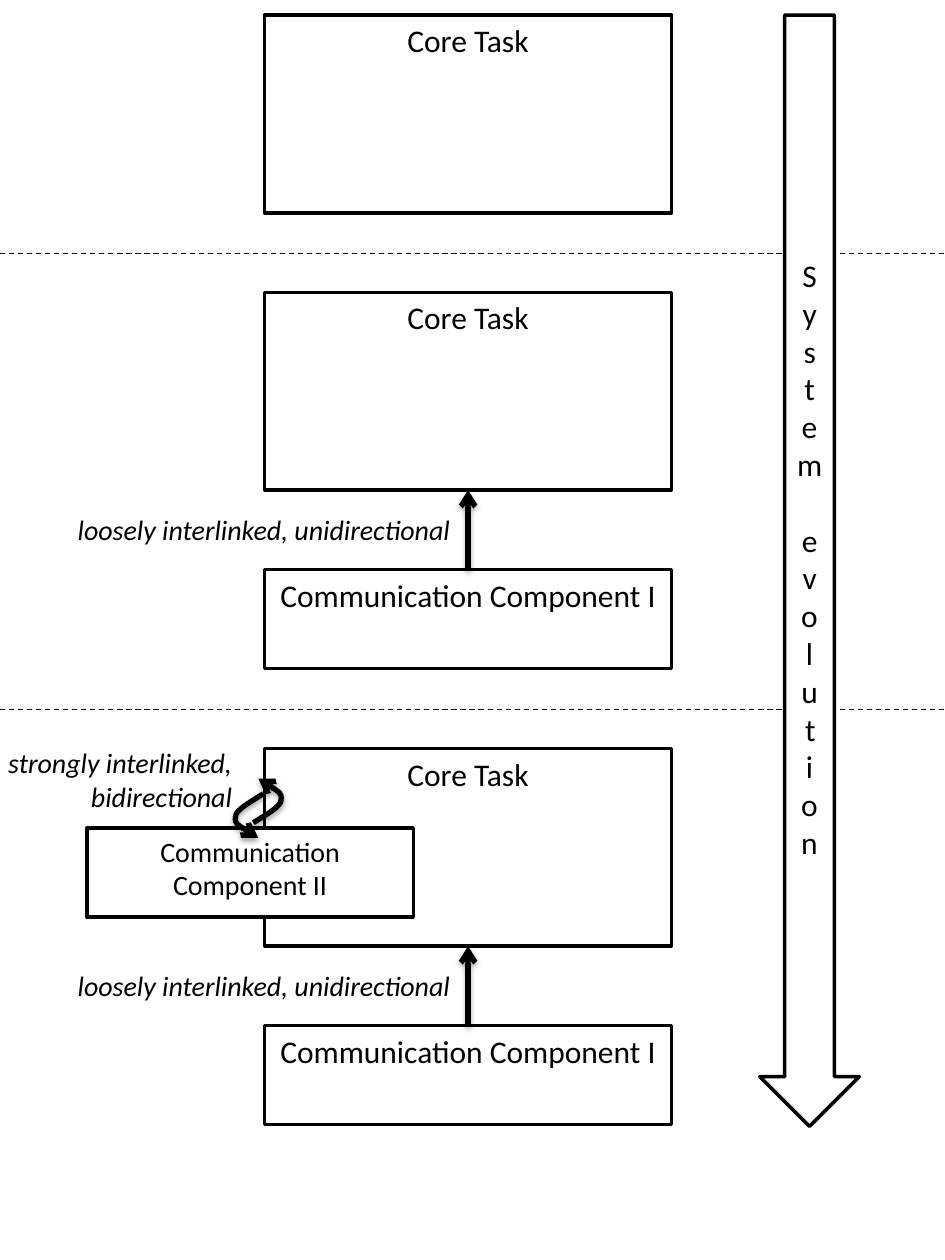
"""Build a one-page diagram of a system evolving through three stages."""
import pptx
import pptx.dml.color
import pptx.enum.dml
import pptx.enum.shapes
import pptx.enum.text
import pptx.oxml
import pptx.oxml.ns
import pptx.util

Inches, Pt = pptx.util.Inches, pptx.util.Pt
SHAPE = pptx.enum.shapes.MSO_SHAPE
ALIGN = pptx.enum.text.PP_ALIGN
ANCHOR = pptx.enum.text.MSO_ANCHOR
COLORS = {name: pptx.dml.color.RGBColor.from_string(value)
          for name, value in {"ink": "000000", "paper": "FFFFFF"}.items()}
NAMESPACE = pptx.oxml.ns.nsdecls("a")
SHADOW = ('<a:outerShdw blurRad="39370" dist="22860" dir="5400000" rotWithShape="0">'
          '<a:srgbClr val="000000"><a:alpha val="35000"/></a:srgbClr></a:outerShdw>')

deck = pptx.Presentation()
deck.slide_width, deck.slide_height = Inches(7.5), Inches(10)
page = deck.slides.add_slide(deck.slide_layouts[6])


def add_box(words, left, top, width, height, size=18, kind=SHAPE.RECTANGLE):
    """Add an outlined shape, or a right-aligned italic label if kind is None."""
    place = [Inches(length) for length in (left, top, width, height)]
    if kind is None:
        box = page.shapes.add_textbox(*place)
    else:
        box = page.shapes.add_shape(kind, *place)
        box.shadow.inherit = False
        box.fill.solid()
        box.fill.fore_color.rgb = COLORS["paper"]
        box.line.color.rgb = COLORS["ink"]
        box.line.width = Pt(2)
    frame = box.text_frame
    frame.word_wrap = True
    frame.vertical_anchor = ANCHOR.TOP
    para = frame.paragraphs[0]
    para.text = words
    para.alignment = ALIGN.RIGHT if kind is None else ALIGN.CENTER
    para.font.name, para.font.size = "Calibri", Pt(size)
    para.font.italic = kind is None
    para.font.color.rgb = COLORS["ink"]
    return box


def style_line(line_shape, width, arrow):
    """Make a line either a shadowed arrow or a plain dashed rule."""
    line_shape.line.color.rgb = COLORS["ink"]
    line_shape.line.width = Pt(width)
    if arrow:
        tail = pptx.oxml.parse_xml(f'<a:tailEnd {NAMESPACE} type="arrow"/>')
        line_shape.line._get_or_add_ln().append(tail)
    else:
        line_shape.line.dash_style = pptx.enum.dml.MSO_LINE.DASH
    effects = f'<a:effectLst {NAMESPACE}>{SHADOW if arrow else ""}</a:effectLst>'
    line_shape._element.spPr.append(pptx.oxml.parse_xml(effects))


core_left, core_width, core_height = 2.1, 3.23, 1.57
gap = 0.63
arrow_x = core_left + core_width / 2
straight = pptx.enum.shapes.MSO_CONNECTOR.STRAIGHT

for core_top, linked in ((0.12, False), (2.32, True), (5.94, True)):
    add_box("Core Task", core_left, core_top, core_width, core_height)
    if linked:
        core_bottom = core_top + core_height
        component_top = core_bottom + gap
        add_box("Communication Component I", core_left, component_top,
                core_width, core_height / 2)
        link = page.shapes.add_connector(
            straight, Inches(arrow_x), Inches(component_top),
            Inches(arrow_x), Inches(core_bottom))
        style_line(link, 3, arrow=True)
        label = add_box("loosely interlinked, unidirectional",
                        0.48, core_bottom + 0.13, 3.19, 0.37, 16, None)
        label.text_frame.word_wrap = False

add_box("Communication Component II", 0.69, 6.57, 2.59, 0.71, 16)

curve = [(23, 0), (12, 7), (1, 13), (1, 18), (0, 24), (9, 29), (19, 35)]
for left, top, turn in ((186, 630, 0), (201, 618, 180)):
    points = [(left + x, top + y) for x, y in curve]
    builder = page.shapes.build_freeform(*points[0], scale=Inches(0.01))
    builder.add_line_segments(points[1:], close=False)
    loop = builder.convert_to_shape()
    segments = list(loop._element.iter(pptx.oxml.ns.qn("a:lnTo")))
    for first in range(0, len(segments), 3):
        bend = pptx.oxml.parse_xml(f"<a:cubicBezTo {NAMESPACE}/>")
        segments[first].addprevious(bend)
        for segment in segments[first:first + 3]:
            bend.append(segment[0])
            segment.getparent().remove(segment)
    loop.rotation = turn
    loop.fill.background()
    style_line(loop, 3, arrow=True)

add_box("strongly interlinked, bidirectional", -0.47, 5.87, 2.41, 0.64, 16, None)

for height in (2.01, 5.63):
    divider = page.shapes.add_connector(
        straight, 0, Inches(height), deck.slide_width, Inches(height))
    style_line(divider, 0.75, arrow=False)

evolution = add_box("System evolution", 6.03, 0.12, 0.79, 8.82, kind=SHAPE.DOWN_ARROW)
evolution.text_frame.vertical_anchor = ANCHOR.MIDDLE
evolution.text_frame._txBody.bodyPr.set("vert", "wordArtVert")

deck.save("out.pptx")
